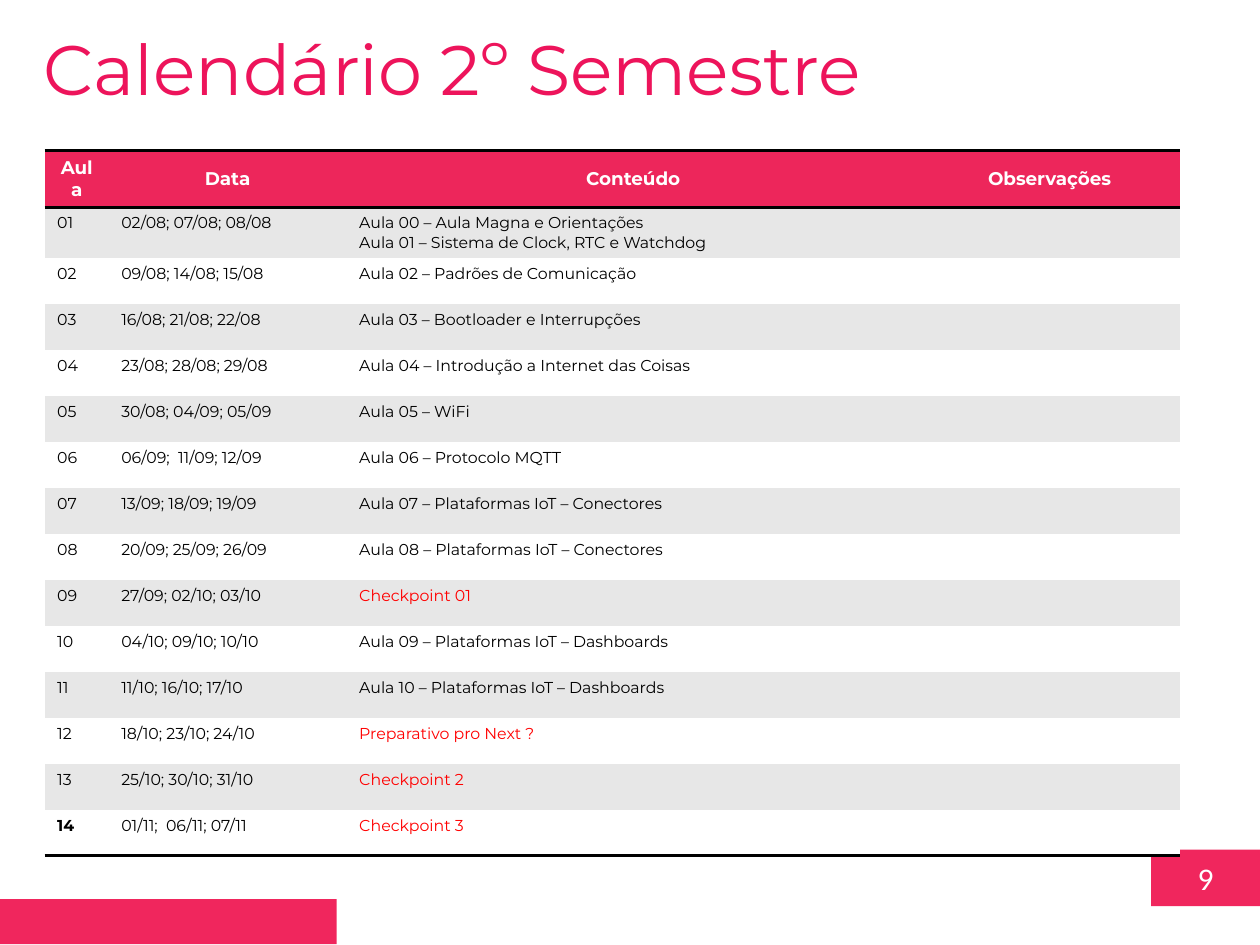
from collections import namedtuple

from lxml import etree
from pptx import Presentation
from pptx.dml.color import RGBColor
from pptx.enum.shapes import MSO_SHAPE
from pptx.enum.text import MSO_ANCHOR, PP_ALIGN
from pptx.oxml.ns import qn
from pptx.util import Pt

RECTANGLE = MSO_SHAPE.RECTANGLE
MIDDLE, TOP = MSO_ANCHOR.MIDDLE, MSO_ANCHOR.TOP
CENTER, LEFT = PP_ALIGN.CENTER, PP_ALIGN.LEFT

PINK, HEADER_PINK, TITLE_PINK = "F0265D", "ED265B", "ED145B"
BLACK, WHITE, GRAY, RED = "000000", "FFFFFF", "E7E7E7", "FF0000"
BODY_FONT, NUMBER_FONT = "Montserrat", "Calibri"
NO_STYLE = "{2D5ABB26-0587-4C30-8999-92F81FD0307C}"

Box = namedtuple("Box", "left top width height")

HEADERS = ["Aula", "Data", "Conteúdo", "Observações"]
COLUMN_WIDTHS = [36.6, 136, 327.5, 148.5]
HEADER_HEIGHT, FIRST_HEIGHT, ROW_HEIGHT = 32, 28.5, 26.28
LESSONS = [
    ("02/08; 07/08; 08/08", "Aula 00 – Aula Magna e Orientações\nAula 01 – Sistema de Clock, RTC e Watchdog"),
    ("09/08; 14/08; 15/08", "Aula 02 – Padrões de Comunicação"),
    ("16/08; 21/08; 22/08", "Aula 03 – Bootloader e Interrupções"),
    ("23/08; 28/08; 29/08", "Aula 04 – Introdução a Internet das Coisas"),
    ("30/08; 04/09; 05/09", "Aula 05 – WiFi"),
    ("06/09;  11/09; 12/09", "Aula 06 – Protocolo MQTT"),
    ("13/09; 18/09; 19/09", "Aula 07 – Plataformas IoT – Conectores"),
    ("20/09; 25/09; 26/09", "Aula 08 – Plataformas IoT – Conectores"),
    ("27/09; 02/10; 03/10", "Checkpoint 01"),
    ("04/10; 09/10; 10/10", "Aula 09 – Plataformas IoT – Dashboards"),
    ("11/10; 16/10; 17/10", "Aula 10 – Plataformas IoT – Dashboards"),
    ("18/10; 23/10; 24/10", "Preparativo pro Next ?"),
    ("25/10; 30/10; 31/10", "Checkpoint 2"),
    ("01/11;  06/11; 07/11", "Checkpoint 3"),
]


def color(value):
    """Return the colour of a hex string."""
    return RGBColor.from_string(value)


def write(frame, text, size, tint, font=BODY_FONT, bold=False, align=LEFT):
    """Fill a text frame with evenly styled paragraphs."""
    frame.text = text
    for para in frame.paragraphs:
        para.alignment = align
        para.font.name = font
        para.font.size = Pt(size)
        para.font.bold = bold
        para.font.color.rgb = color(tint)


def add_block(page, box, text=""):
    """Draw a plain pink rectangle with an optional number."""
    block = page.shapes.add_shape(RECTANGLE, *map(Pt, box))
    block.shadow.inherit = False
    block.fill.solid()
    block.fill.fore_color.rgb = color(PINK)
    block.line.fill.background()
    if text:
        block.text_frame.vertical_anchor = MIDDLE
        write(block.text_frame, text, 18, WHITE, NUMBER_FONT, align=CENTER)


def add_title(page, box, text):
    """Place the slide title."""
    title = page.shapes.add_textbox(*map(Pt, box))
    title.text_frame.word_wrap = True
    write(title.text_frame, text, 40, TITLE_PINK)


def add_borders(cell, sides):
    """Give a cell black rules on the named sides."""
    properties = cell._tc.get_or_add_tcPr()
    for index, side in enumerate(sides):
        line = etree.Element(qn(f"a:ln{side}"), w=str(Pt(2)))
        fill = etree.SubElement(line, qn("a:solidFill"))
        etree.SubElement(fill, qn("a:srgbClr"), val=BLACK)
        properties.insert(index, line)


def fill_cell(cell, text, fill, size, tint, bold=False, align=LEFT, anchor=TOP):
    """Set the text and background of a cell."""
    cell.fill.solid()
    cell.fill.fore_color.rgb = color(fill)
    cell.vertical_anchor = anchor
    write(cell.text_frame, text, size, tint, bold=bold, align=align)
    if not text:
        ending = cell.text_frame.paragraphs[0]._p.get_or_add_endParaRPr()
        ending.set("sz", str(size * 100))


def add_calendar(page, box):
    """Build the lesson calendar table."""
    count = len(LESSONS)
    table = page.shapes.add_table(count + 1, len(HEADERS), *map(Pt, box)).table
    table.first_row = table.horz_banding = False
    table._tbl.tblPr.find(qn("a:tableStyleId")).text = NO_STYLE
    for column, width in zip(table.columns, COLUMN_WIDTHS):
        column.width = Pt(width)
    heights = [HEADER_HEIGHT, FIRST_HEIGHT] + [ROW_HEIGHT] * (count - 1)
    for row, height in zip(table.rows, heights):
        row.height = Pt(height)
    for cell, header in zip(table.rows[0].cells, HEADERS):
        fill_cell(cell, header, HEADER_PINK, 10.5, WHITE, True, CENTER, MIDDLE)
        add_borders(cell, "TB")
    for number, (dates, content) in enumerate(LESSONS, 1):
        fill = GRAY if number % 2 else WHITE
        tint = BLACK if content.startswith("Aula") else RED
        number_cell, date_cell, content_cell, note_cell = table.rows[number].cells
        fill_cell(number_cell, f"{number:02}", fill, 9, BLACK, bold=number == count)
        fill_cell(date_cell, dates, fill, 9, BLACK)
        fill_cell(content_cell, content, fill, 9, tint)
        fill_cell(note_cell, "", fill, 9, BLACK)
    for cell in table.rows[count].cells:
        add_borders(cell, "B")


def main():
    """Build and save the slide."""
    deck = Presentation()
    deck.slide_width, deck.slide_height = Pt(720), Pt(540)
    page = deck.slides.add_slide(deck.slide_layouts[6])
    add_block(page, Box(657.8, 485.5, 62.2, 32.3), "9")
    add_block(page, Box(0, 513.8, 192.4, 25.8))
    add_title(page, Box(18, 10.8, 498.2, 55.7), "Calendário 2º Semestre")
    table_height = HEADER_HEIGHT + FIRST_HEIGHT + ROW_HEIGHT * (len(LESSONS) - 1)
    add_calendar(page, Box(25.5, 86, sum(COLUMN_WIDTHS), table_height))
    deck.save("out.pptx")


if __name__ == "__main__":
    main()
